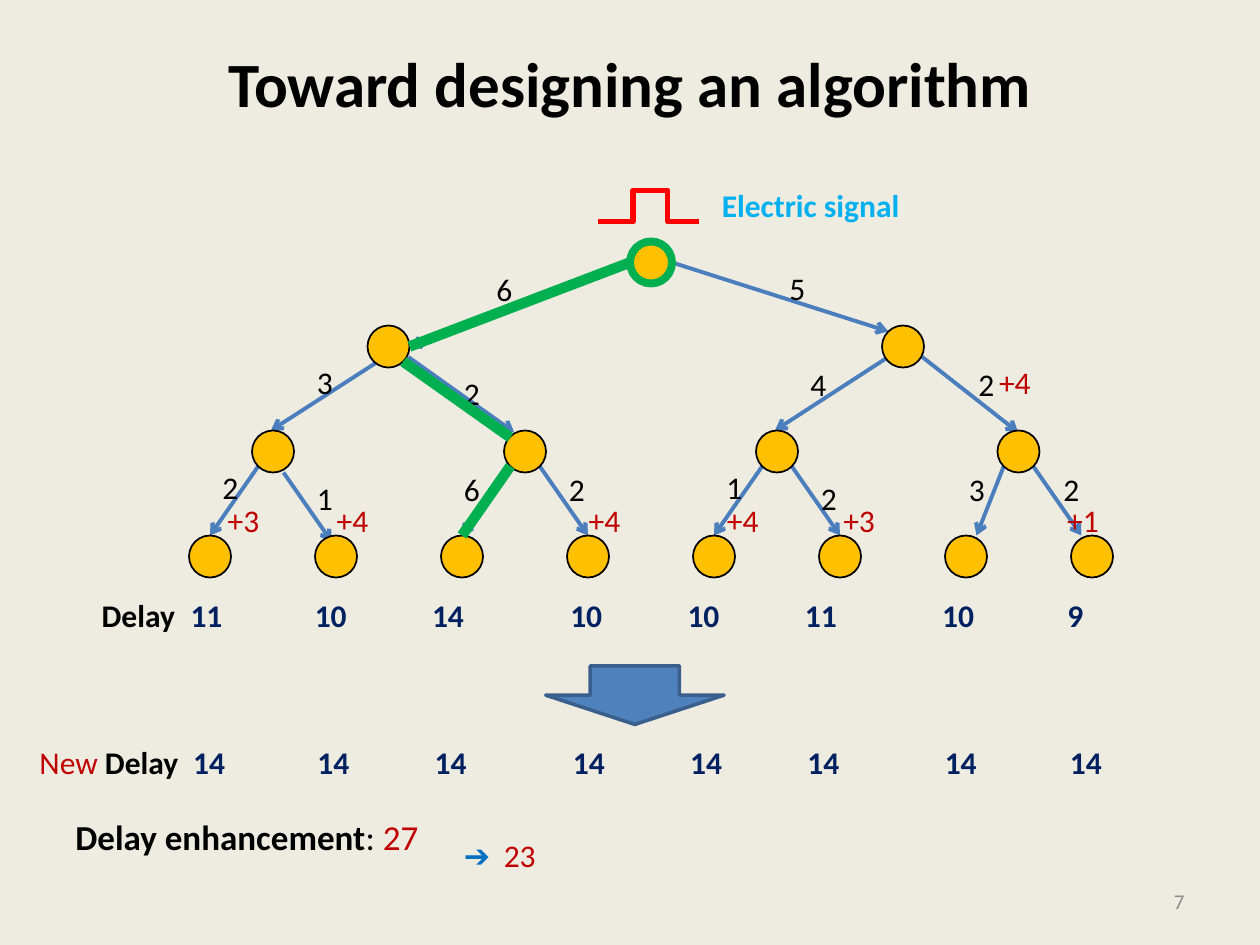
import pptx
import pptx.util
import pptx.dml.color
import pptx.enum.shapes
import pptx.enum.text
import pptx.oxml.ns
from lxml import etree

Pt = pptx.util.Pt
rgb = pptx.dml.color.RGBColor.from_string
qn = pptx.oxml.ns.qn
align = pptx.enum.text.PP_ALIGN
anchor = pptx.enum.text.MSO_ANCHOR
kinds = pptx.enum.shapes.MSO_SHAPE
wires = pptx.enum.shapes.MSO_CONNECTOR

BLACK, RED, NAVY, GREEN = "000000", "C00000", "002060", "00B050"
BLUE, GOLD = "4B7EBC", "FFC000"

deck = pptx.Presentation()
deck.slide_width, deck.slide_height = Pt(720), Pt(540)
slide = deck.slides.add_slide(deck.slide_layouts[6])
slide.background.fill.solid()
slide.background.fill.fore_color.rgb = rgb("EEECE1")
shapes = slide.shapes


def write(left, top, wide, high, runs, size=18, stops=()):
    """Add a text box of (text, colour, bold) runs; stops are slide x positions."""
    box = shapes.add_textbox(Pt(left), Pt(top), Pt(wide), Pt(high))
    box.text_frame.word_wrap = True
    para = box.text_frame.paragraphs[0]
    if stops:
        tabs = etree.SubElement(para._p.get_or_add_pPr(), qn("a:tabLst"))
        for stop in stops:
            place = Pt(stop - left - 7.2)
            etree.SubElement(tabs, qn("a:tab"), pos=str(int(place)), algn="l")
    para.font.name = "Calibri"
    para.font.size = Pt(size)
    for words, color, bold in runs:
        run = para.add_run()
        run.text = words
        run.font.color.rgb = rgb(color)
        run.font.bold = bold
    return box


def link(ends, color, width, kind=wires.STRAIGHT, arrow=False):
    wire = shapes.add_connector(kind, *[Pt(n) for n in ends])
    wire.line.color.rgb = rgb(color)
    wire.line.width = Pt(width)
    if arrow:
        etree.SubElement(wire.line._get_or_add_ln(), qn("a:tailEnd"), type="arrow")
    etree.SubElement(wire._element.spPr, qn("a:effectLst"))


title = write(36, 21.6, 648, 90, [("Toward designing an algorithm", BLACK, True)], 36)
title.text_frame.paragraphs[0].alignment = align.CENTER
write(36, 462.5, 648, 32, [("Delay enhancement", BLACK, True),
                           (": ", BLACK, False), ("27", RED, False)], 20)
page = write(516, 500.5, 168, 28.8, [("7", "8C8C8C", False)], 12)
page.text_frame.vertical_anchor = anchor.MIDDLE
page.text_frame.paragraphs[0].alignment = align.RIGHT

# Tree edges, then nodes
edges = [
    (360, 150, 234, 198), (384, 150, 507.6, 189.4),
    (216, 206.6, 154.8, 246), (233.3, 204, 293.8, 247),
    (507.6, 204, 442.8, 246), (527, 204, 581.8, 247),
    (147.6, 266.4, 120, 306), (162, 270, 189.6, 309.6),
    (291.6, 266.4, 264, 306), (308.4, 266.4, 336, 306),
    (435.6, 266.4, 408, 306), (452.4, 266.4, 480, 306),
    (573.6, 266.4, 558, 306), (590.4, 266.4, 618, 306),
]
for edge in edges:
    link(edge, BLUE, 2.25, arrow=True)

levels = [
    (306, [108 + 72 * n for n in range(8)]),
    (246, [144, 288, 432, 570]),
    (186, [210, 504]),
    (138, [360]),
]
for top, lefts in levels:
    for left in lefts:
        node = shapes.add_shape(kinds.OVAL, Pt(left), Pt(top), Pt(24), Pt(24))
        node.shadow.inherit = False
        node.fill.solid()
        node.fill.fore_color.rgb = rgb(GOLD)
        root = top == 138
        node.line.color.rgb = rgb(GREEN if root else BLACK)
        node.line.width = Pt(4.5 if root else 1)

# Edge delays
delays = [
    ("5", 444, 150), ("6", 276.5, 151), ("2", 552, 205), ("2", 600.5, 265),
    ("3", 174, 204), ("2", 258, 210), ("6", 258, 265), ("2", 120, 264),
    ("1", 174, 270), ("2", 318, 265), ("1", 408, 264), ("4", 456, 205),
    ("2", 462, 270), ("3", 546.5, 265),
]
for delay, left, top in delays:
    write(left, top, 24, 29, [(delay, BLACK, False)])

# Delay of each leaf, before and after
stops = [109, 180, 247, 326, 393, 460, 538.5, 610]
olds = ["11", "10", "14", "10", "10", "11", "10", "9"]
write(51, 337, 602, 29, [("Delay\t", BLACK, True),
                         ("\t".join(olds), NAVY, True)], stops=stops)
write(15.5, 421, 645, 29, [("New ", RED, False), ("Delay\t", BLACK, True),
                           ("\t".join(["14"] * 8), NAVY, True)],
      stops=[stop + 1.5 for stop in stops])

# Electric signal
link((363.6, 108.7, 399.6, 126.7), "FF0000", 3, wires.ELBOW)
link((381.6, 108.7, 342, 126.7), "FF0000", 3, wires.ELBOW)
write(405.4, 103, 125, 29, [("Electric signal", "00B0F0", True)])

# Longest route
for ends in [(360, 150, 234, 198), (291.6, 250, 230.4, 206.6),
             (291.6, 266.4, 264, 306)]:
    link(ends, GREEN, 6)

# Added delays
write(123, 282.5, 520, 29, [("\t".join(["+3", "+4", "+4", "+4", "+3", "+1"]), RED, False)],
      stops=[192.5, 336.5, 415.5, 482, 610])
write(563.8, 204, 36, 29, [("+4", RED, False)])

down = shapes.add_shape(kinds.DOWN_ARROW, Pt(311.8), Pt(380.5), Pt(102), Pt(33.5))
down.shadow.inherit = False
down.fill.solid()
down.fill.fore_color.rgb = rgb("4F81BD")
down.line.color.rgb = rgb("3A5F8C")
down.line.width = Pt(2)

write(258, 474, 64, 29, [("➔\t", "0070C0", False), ("23", RED, False)], stops=[288])

deck.save("out.pptx")
